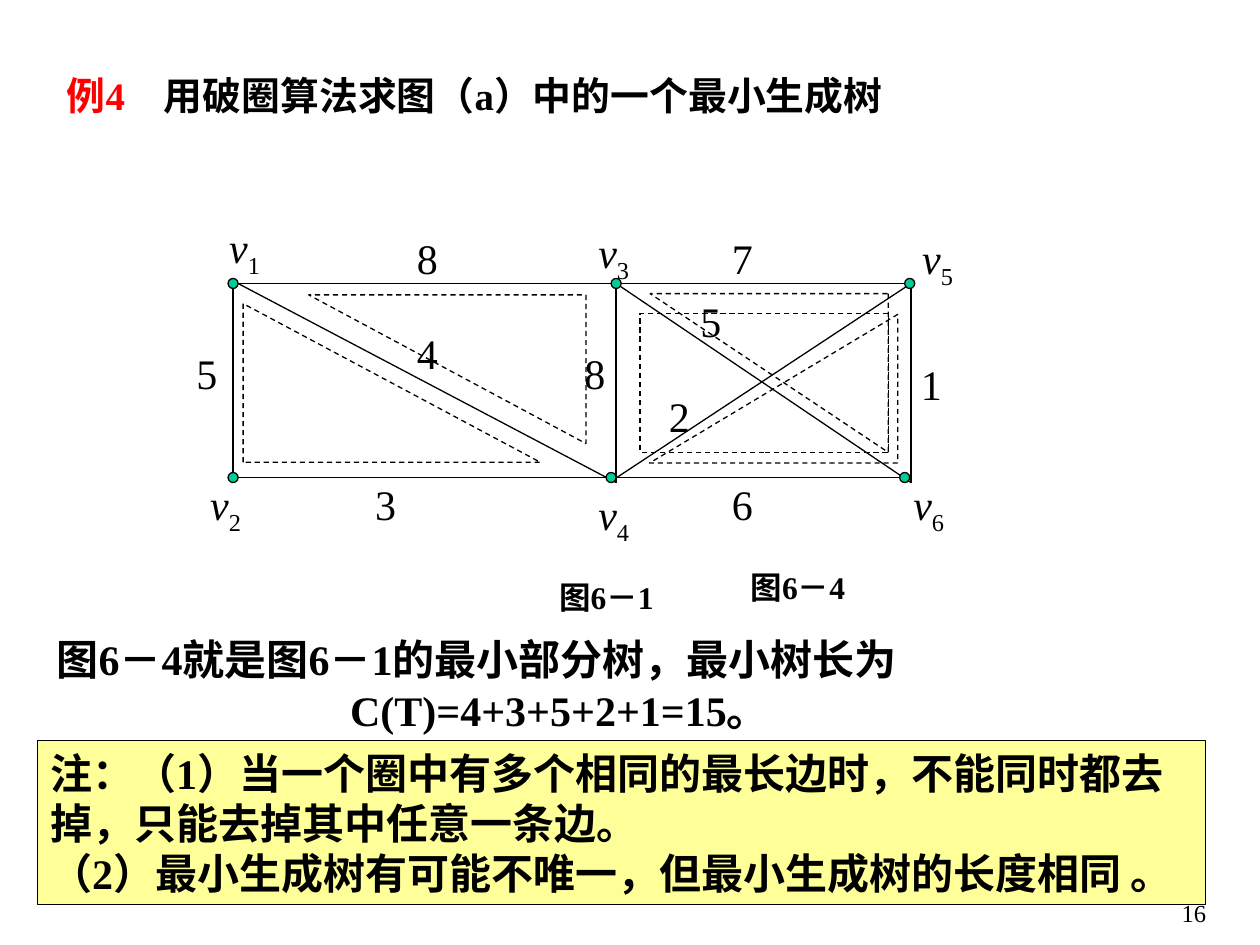
"""Build the slide on the cycle-breaking method for a minimum spanning tree."""
from lxml import etree
from pptx import Presentation
from pptx.dml.color import RGBColor
from pptx.enum.dml import MSO_LINE
from pptx.enum.shapes import MSO_CONNECTOR, MSO_SHAPE
from pptx.enum.text import MSO_ANCHOR, MSO_AUTO_SIZE, PP_ALIGN
from pptx.oxml.ns import qn
from pptx.util import Inches, Pt

DASH = MSO_LINE.DASH
LINE = MSO_CONNECTOR.STRAIGHT
OVAL, RECT, TRI = MSO_SHAPE.OVAL, MSO_SHAPE.RECTANGLE, MSO_SHAPE.RIGHT_TRIANGLE
TOP, MIDDLE = MSO_ANCHOR.TOP, MSO_ANCHOR.MIDDLE
GROW, FIXED = MSO_AUTO_SIZE.SHAPE_TO_FIT_TEXT, MSO_AUTO_SIZE.NONE
LEFT, RIGHT = PP_ALIGN.LEFT, PP_ALIGN.RIGHT

COLORS = {"ink": "000000", "mark": "FF0000", "node": "00CC99", "note": "FFFF99"}
FONT = "Times New Roman"


def tint(name):
    return RGBColor.from_string(COLORS[name])


def write(para, text, size=24, color="ink", bold=False, italic=False, base=0):
    run = para.add_run()
    run.text = text
    font = run.font
    font.name, font.size = FONT, Pt(size)
    font.bold, font.italic = bold, italic
    font.color.rgb = tint(color)
    if base:
        run._r.get_or_add_rPr().set("baseline", str(base * 1000))


class Board:
    """Holds the slide and the style of its parts."""

    def __init__(self, slide):
        self.slide = slide
        self.shapes = slide.shapes

    def title(self, box, lead, text, gap):
        shape = self.shapes.title
        shape.left, shape.top, shape.width, shape.height = map(Inches, box)
        frame = shape.text_frame
        frame.word_wrap, frame.auto_size = True, FIXED
        frame.vertical_anchor = MIDDLE
        para = frame.paragraphs[0]
        para.alignment = LEFT
        tabs = etree.SubElement(para._p.get_or_add_pPr(), qn("a:tabLst"))
        etree.SubElement(tabs, qn("a:tab"), pos=str(Inches(gap)), algn="l")
        write(para, lead + "\t", size=22.2, color="mark", bold=True)
        write(para, text, size=22.2, bold=True)

    def fill(self, shape, lines, wrap=False, anchor=TOP, align=LEFT, **style):
        frame = shape.text_frame
        frame.word_wrap, frame.auto_size = wrap, GROW
        frame.vertical_anchor = anchor
        for i, line in enumerate(lines):
            para = frame.add_paragraph() if i else frame.paragraphs[0]
            para.alignment = align
            write(para, line, **style)
        return frame

    def text(self, box, *lines, **style):
        return self.fill(self.shapes.add_textbox(*map(Inches, box)), lines, **style)

    def name(self, x, y, index):
        frame = self.text((x, y, 0.48, 0.56), "v", wrap=True, italic=True)
        write(frame.paragraphs[0], str(index), base=-25)

    def edge(self, *ends):
        line = self.shapes.add_connector(LINE, *map(Inches, ends))
        line.line.color.rgb, line.line.width = tint("ink"), Pt(0.75)
        etree.SubElement(line._element.spPr, qn("a:effectLst"))

    def shape(self, kind, box, color=None, turn=0, dash=None):
        shape = self.shapes.add_shape(kind, *map(Inches, box))
        shape.shadow.inherit = False
        shape.rotation = turn
        if color:
            shape.fill.solid()
            shape.fill.fore_color.rgb = tint(color)
        else:
            shape.fill.background()
        shape.line.color.rgb, shape.line.width = tint("ink"), Pt(0.75)
        if dash:
            shape.line.dash_style = dash
        return shape


def main():
    deck = Presentation()
    deck.slide_width, deck.slide_height = Inches(10), Inches(7.5)
    board = Board(deck.slides.add_slide(deck.slide_layouts[5]))
    board.title((0.43, 0.52, 9.17, 0.47), "例4", "用破圈算法求图（a）中的一个最小生成树", 0.77)
    board.text((8.92, 7.08, 0.75, 0.5), "16", wrap=True, align=RIGHT, size=14)

    high, low, foot = 2.25, 3.79, 3.83
    west, mid, east = 1.85, 4.89, 7.23
    edges = [
        (west, high, west, low), (west, high, mid, high), (west, low, mid, low),
        (1.89, high, mid, foot), (mid, high, mid, foot), (mid, high, east, high),
        (east, high, 4.88, 3.8), (mid, high, east, foot), (mid, low, east, low),
        (east, high, east, foot),
    ]
    for ends in edges:
        board.edge(*ends)

    size = 0.08
    nodes = [(west, high), (west, low), (mid, high), (4.85, low),
             (7.22, high), (7.18, low)]
    for x, y in nodes:
        board.shape(OVAL, (x - size / 2, y - size / 2, size, size), "node")

    names = [(1.72, 1.71), (1.57, 3.75), (4.65, 1.75), (4.65, 3.83),
             (7.22, 1.8), (7.15, 3.75)]
    for index, (x, y) in enumerate(names, 1):
        board.name(x, y, index)

    costs = [
        ("5", 1.46, 2.71), ("8", 3.21, 1.8), ("4", 3.21, 2.55), ("3", 2.88, 3.75),
        ("7", 5.71, 1.8), ("5", 5.46, 2.3), ("2", 5.21, 3.05), ("6", 5.71, 3.75),
        ("1", 7.21, 2.8), ("8", 4.54, 2.71),
    ]
    for cost, x, y in costs:
        board.text((x, y, 0.36, 0.5), cost)

    rings = [
        (TRI, (2.45, 2.34, 2.2, 1.18), 180), (RECT, (5.08, 2.49, 1.97, 1.1), 0),
        (TRI, (1.93, 2.41, 2.36, 1.26), 0), (TRI, (5.16, 2.33, 1.89, 1.26), 180),
        (TRI, (5.55, 2.1, 1.18, 1.97), 270),
    ]
    for kind, box, turn in rings:
        board.shape(kind, box, turn=turn, dash=DASH)

    for label, x, y in [("图6－1", 4.34, 4.54), ("图6－4", 5.86, 4.46)]:
        board.text((x, y, 1.13, 0.4), label, size=18, bold=True)

    result = board.text(
        (0.35, 4.98, 9.31, 0.9), "图6－4就是图6－1的最小部分树，最小树长为",
        "C(T)=4+3+5+2+1=15。", wrap=True, anchor=MIDDLE, bold=True)
    result.paragraphs[1]._p.get_or_add_pPr().set("marL", str(Inches(2.33)))

    note = board.shape(RECT, (0.3, 5.88, 9.27, 1.3), "note")
    board.fill(note, ["注：（1）当一个圈中有多个相同的最长边时，不能同时都去",
                      "掉，只能去掉其中任意一条边。",
                      "（2）最小生成树有可能不唯一，但最小生成树的长度相同 。"], bold=True)
    deck.save("out.pptx")


if __name__ == "__main__":
    main()
